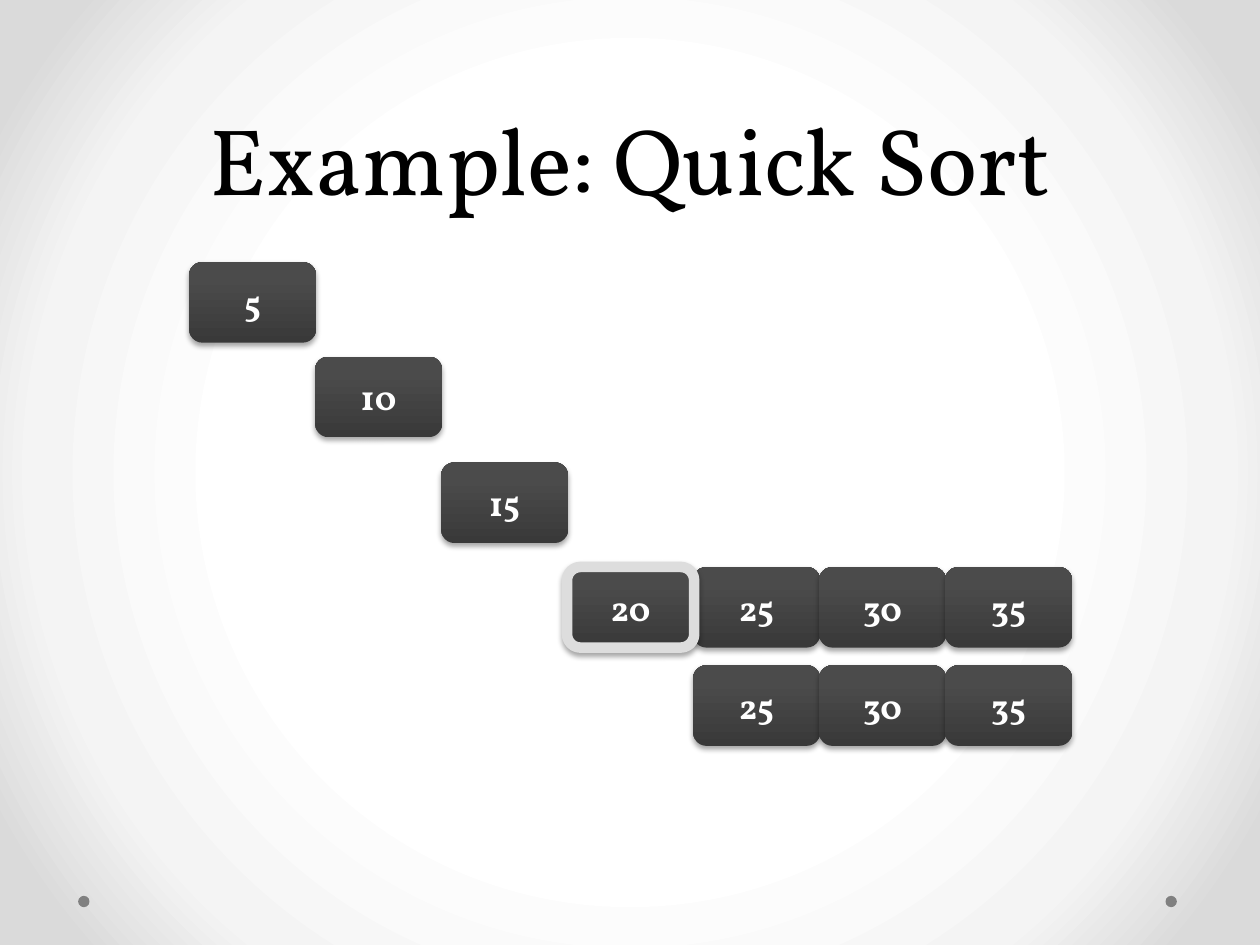
import pptx
import pptx.util
import pptx.dml.color
import pptx.enum.shapes
import pptx.enum.text
import pptx.oxml
import pptx.oxml.ns
from pptx.util import Inches

COLORS = {
    "title": "000000", "number": "FFFFFF", "dot": "808080",
    "pivot_line": "DDDDDD", "shadow": "000000",
    "tile_dark": "393939", "tile_light": "4B4B4B",
    "center": "FFFFFF", "middle": "F4F4F4", "edge": "DADADA",
}
FONT = "Vollkorn"
NAMESPACE = pptx.oxml.ns.nsdecls("a")
SHAPES = pptx.enum.shapes.MSO_SHAPE
ANCHOR = pptx.enum.text.MSO_ANCHOR


def rgb(name):
    return pptx.dml.color.RGBColor.from_string(COLORS[name])


def write_text(shape, text, size, color, bold=False, anchor=ANCHOR.MIDDLE, spacing=None):
    frame = shape.text_frame
    frame.word_wrap = True
    frame.vertical_anchor = anchor
    paragraph = frame.paragraphs[0]
    paragraph.alignment = pptx.enum.text.PP_ALIGN.CENTER
    if spacing:
        paragraph.line_spacing = pptx.util.Pt(spacing)
    run = paragraph.add_run()
    run.text = text
    run.font.name = FONT
    run.font.size = pptx.util.Pt(size)
    run.font.bold = bold
    run.font.color.rgb = rgb(color)


def set_gradient(owner, stops, direction):
    """Swap the solid fill of a shape or slide background for a gradient."""
    owner.fill.solid() if hasattr(owner, "fill") else owner.background.fill.solid()
    solid = owner._element.find(".//" + pptx.oxml.ns.qn("a:solidFill"))
    stop_xml = "".join(
        f'<a:gs pos="{position * 1000}"><a:srgbClr val="{COLORS[name]}"/></a:gs>'
        for position, name in stops)
    gradient = pptx.oxml.parse_xml(
        f'<a:gradFill {NAMESPACE} rotWithShape="1"><a:gsLst>{stop_xml}</a:gsLst>{direction}</a:gradFill>')
    solid.getparent().replace(solid, gradient)


presentation = pptx.Presentation()
presentation.slide_width = Inches(10)
presentation.slide_height = Inches(7.5)
slide = presentation.slides.add_slide(presentation.slide_layouts[6])

# Background, light in the centre
set_gradient(
    slide, [(50, "center"), (76, "middle"), (92, "edge")],
    '<a:path path="circle"><a:fillToRect l="50000" t="50000" r="50000" b="50000"/></a:path>')

# Corner dots
for left in (9.25, 0.62):
    dot = slide.shapes.add_shape(
        SHAPES.OVAL, Inches(left), Inches(7.11), Inches(0.09), Inches(0.09))
    dot.shadow.inherit = False
    dot.fill.solid()
    dot.fill.fore_color.rgb = rgb("dot")
    dot.line.fill.background()

# Title
title = slide.shapes.add_textbox(Inches(0.5), Inches(0), Inches(9), Inches(1.75))
write_text(title, "Example: Quick Sort", size=54, color="title",
           anchor=ANCHOR.BOTTOM, spacing=58)

# Number tiles: top of each row and its values; the pivot lies over its neighbour
PIVOT = 20
rows = [(2.08, [5]), (2.83, [10]), (3.67, [15]),
        (4.5, [25, 30, 35, PIVOT]), (5.28, [25, 30, 35])]
for top, values in rows:
    for value in values:
        left = 1.5 + (value / 5 - 1)  # one inch per step of five
        tile = slide.shapes.add_shape(
            SHAPES.ROUNDED_RECTANGLE, Inches(left), Inches(top), Inches(1.01), Inches(0.64))
        set_gradient(
            tile, [(0, "tile_dark"), (80, "tile_light"), (100, "tile_light")],
            '<a:lin ang="16200000" scaled="0"/>')
        if value == PIVOT:
            tile.line.color.rgb = rgb("pivot_line")
            tile.line.width = pptx.util.Pt(6)
        else:
            tile.line.fill.background()

        # Soft shadow below the tile
        tile.shadow.inherit = False
        effects = tile._element.spPr.find(pptx.oxml.ns.qn("a:effectLst"))
        effects.append(pptx.oxml.parse_xml(
            f'<a:outerShdw {NAMESPACE} blurRad="{pptx.util.Pt(3.1)}" dist="{pptx.util.Pt(1.8)}" '
            f'dir="5400000" rotWithShape="0"><a:srgbClr val="{COLORS["shadow"]}">'
            '<a:alpha val="35000"/></a:srgbClr></a:outerShdw>'))
        write_text(tile, str(value), size=20, color="number", bold=True)

presentation.save("out.pptx")
